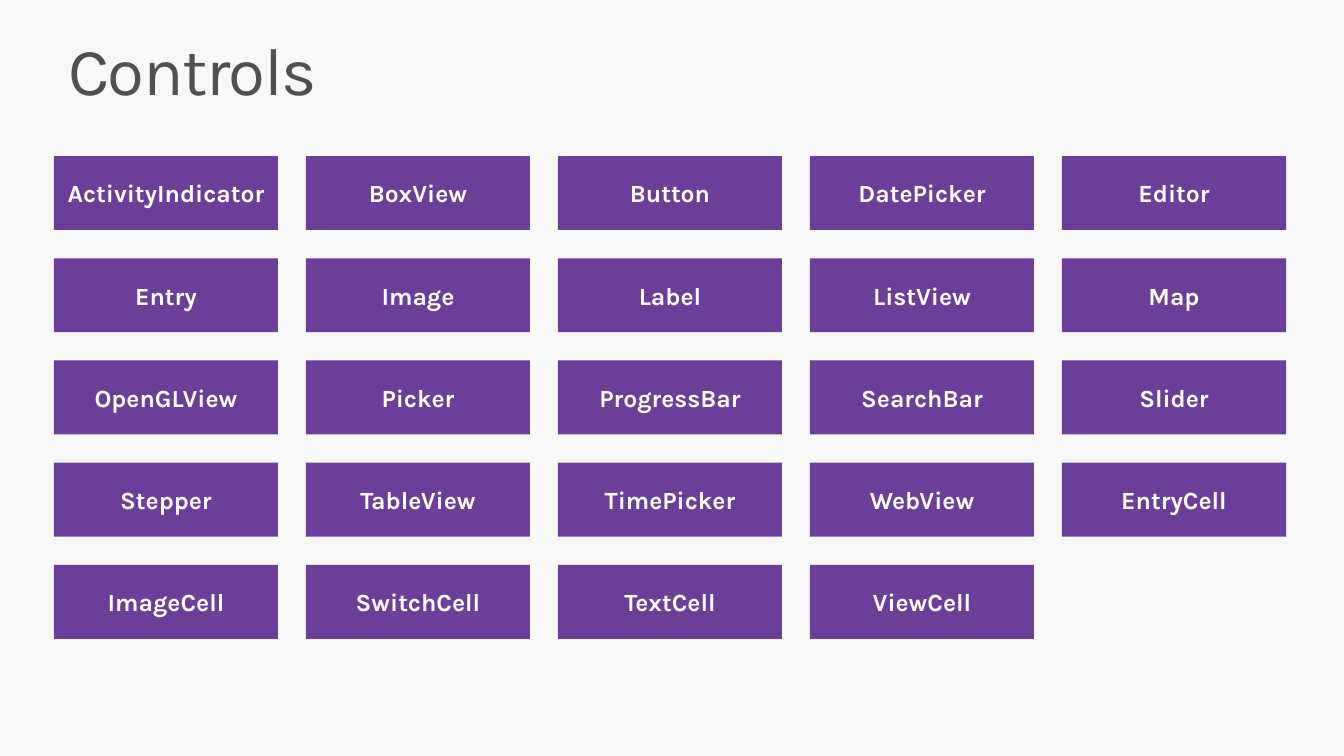
from pptx import Presentation
from pptx.dml.color import RGBColor
from pptx.enum.shapes import MSO_SHAPE
from pptx.enum.text import MSO_ANCHOR, MSO_AUTO_SIZE, PP_ALIGN
from pptx.util import Pt

TILE_SHAPE = MSO_SHAPE.ROUNDED_RECTANGLE
TOP, MIDDLE = MSO_ANCHOR.TOP, MSO_ANCHOR.MIDDLE
LEFT, CENTER = PP_ALIGN.LEFT, PP_ALIGN.CENTER
NO_AUTOFIT = MSO_AUTO_SIZE.NONE

PAGE_COLOR = RGBColor(0xF8, 0xF8, 0xF8)
TITLE_COLOR = RGBColor(0x50, 0x50, 0x50)
PURPLE = RGBColor(0x6A, 0x3F, 0x9A)
WHITE = RGBColor(0xFF, 0xFF, 0xFF)
FONT = "Karla"

PX_PER_INCH = 50.4
PAGE_SIZE = (1344, 756)
TITLE_BOX = (60, 32, 1284, 102)
GRID_BOX = (54, 156, 1232, 483)
TILE_SIZE = (224, 74)
COLUMNS = 5

CONTROLS = [
    "ActivityIndicator", "BoxView", "Button", "DatePicker", "Editor",
    "Entry", "Image", "Label", "ListView", "Map",
    "OpenGLView", "Picker", "ProgressBar", "SearchBar", "Slider",
    "Stepper", "TableView", "TimePicker", "WebView", "EntryCell",
    "ImageCell", "SwitchCell", "TextCell", "ViewCell",
]


def px(length):
    return round(length * 914400 / PX_PER_INCH)


def write_text(frame, text, *, size, color, bold=False, align=LEFT,
               anchor=TOP, line_spacing=None, tracking=None):
    """Fill a text frame with one formatted paragraph; tracking is in points."""
    frame.word_wrap = True
    frame.auto_size = NO_AUTOFIT
    frame.vertical_anchor = anchor
    para = frame.paragraphs[0]
    para.alignment = align
    if line_spacing:
        para.line_spacing = line_spacing
    span = para.add_run()
    span.text = text
    span.font.name = FONT
    span.font.size = Pt(size)
    span.font.bold = bold
    span.font.color.rgb = color
    if tracking:
        span._r.get_or_add_rPr().set("spc", str(round(tracking * 100)))


def place_title(page, box, text):
    title = page.shapes.title
    title.left, title.top, title.width, title.height = map(px, box)
    frame = title.text_frame
    frame.margin_left = frame.margin_right = px(8)
    frame.margin_top = frame.margin_bottom = px(5)
    write_text(frame, text, size=96, color=TITLE_COLOR,
               line_spacing=0.9, tracking=-2)


def add_tile(page, box, label):
    tile = page.shapes.add_shape(TILE_SHAPE, *map(px, box))
    tile.adjustments[0] = 0
    tile.shadow.inherit = False
    tile.fill.solid()
    tile.fill.fore_color.rgb = PURPLE
    tile.line.fill.background()
    write_text(tile.text_frame, label, size=35.3, color=WHITE, bold=True,
               align=CENTER, anchor=MIDDLE)


def add_tile_grid(page, box, labels):
    """Spread the tiles evenly so that the outer ones touch the box edges."""
    left, top, width, height = box
    tile_width, tile_height = TILE_SIZE
    rows = -(-len(labels) // COLUMNS)
    step_x = (width - tile_width) / (COLUMNS - 1)
    step_y = (height - tile_height) / (rows - 1)
    for index, label in enumerate(labels):
        row, column = divmod(index, COLUMNS)
        add_tile(page, (left + column * step_x, top + row * step_y,
                        tile_width, tile_height), label)


def main():
    deck = Presentation()
    deck.slide_width, deck.slide_height = map(px, PAGE_SIZE)
    page = deck.slides.add_slide(deck.slide_layouts.get_by_name("Title Only"))
    page.background.fill.solid()
    page.background.fill.fore_color.rgb = PAGE_COLOR
    place_title(page, TITLE_BOX, "Controls")
    add_tile_grid(page, GRID_BOX, CONTROLS)
    deck.save("out.pptx")


if __name__ == "__main__":
    main()
